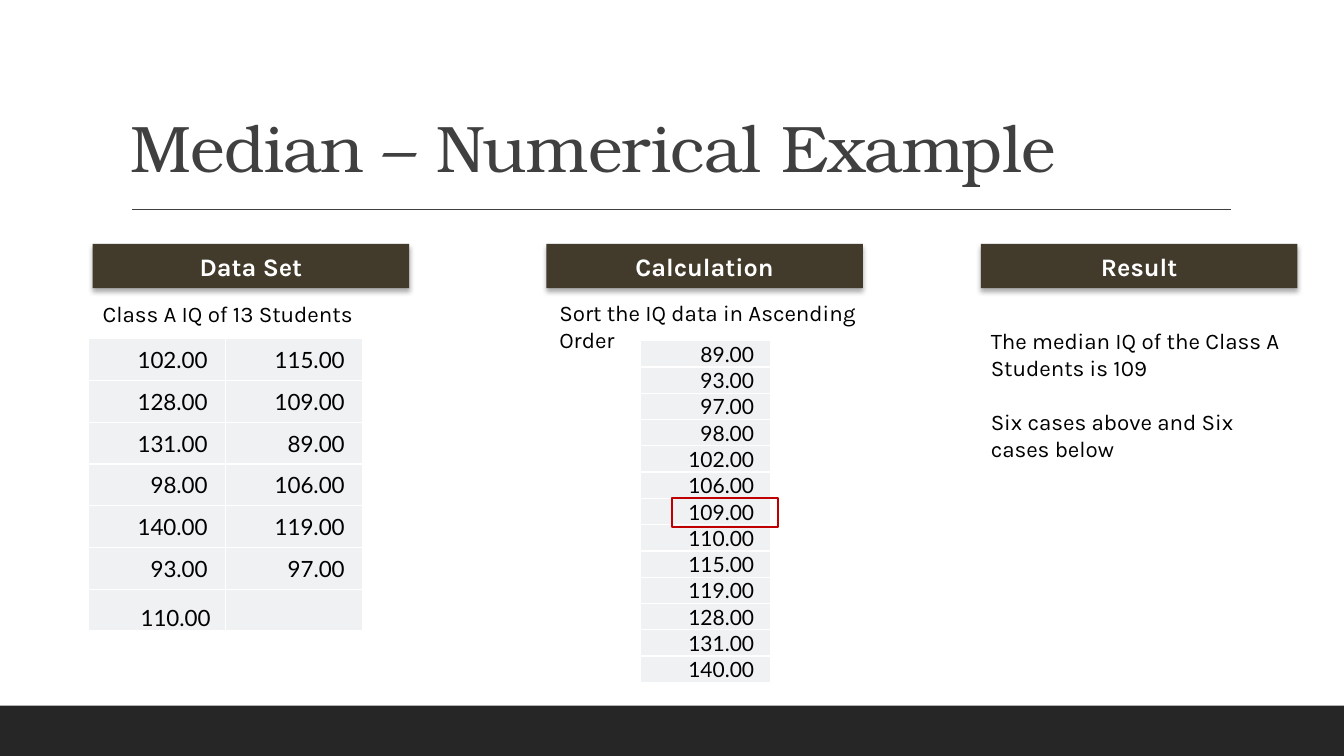
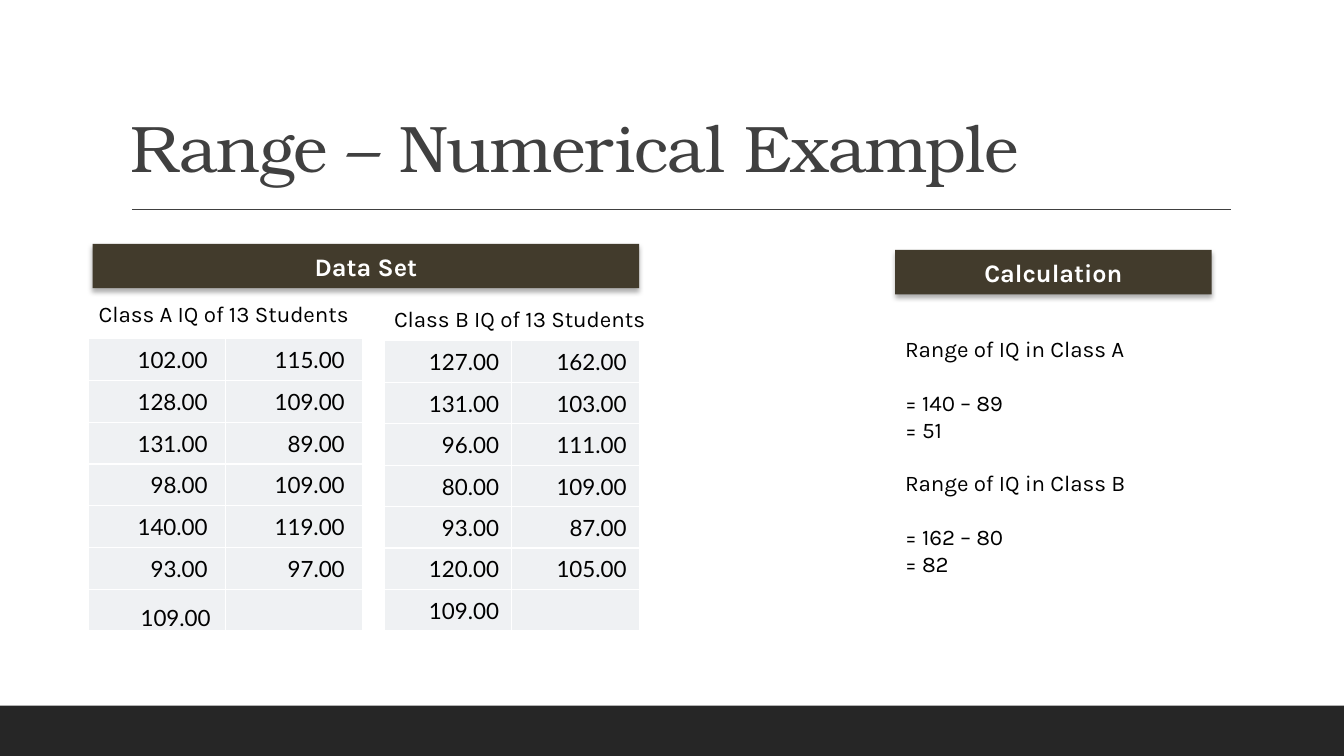
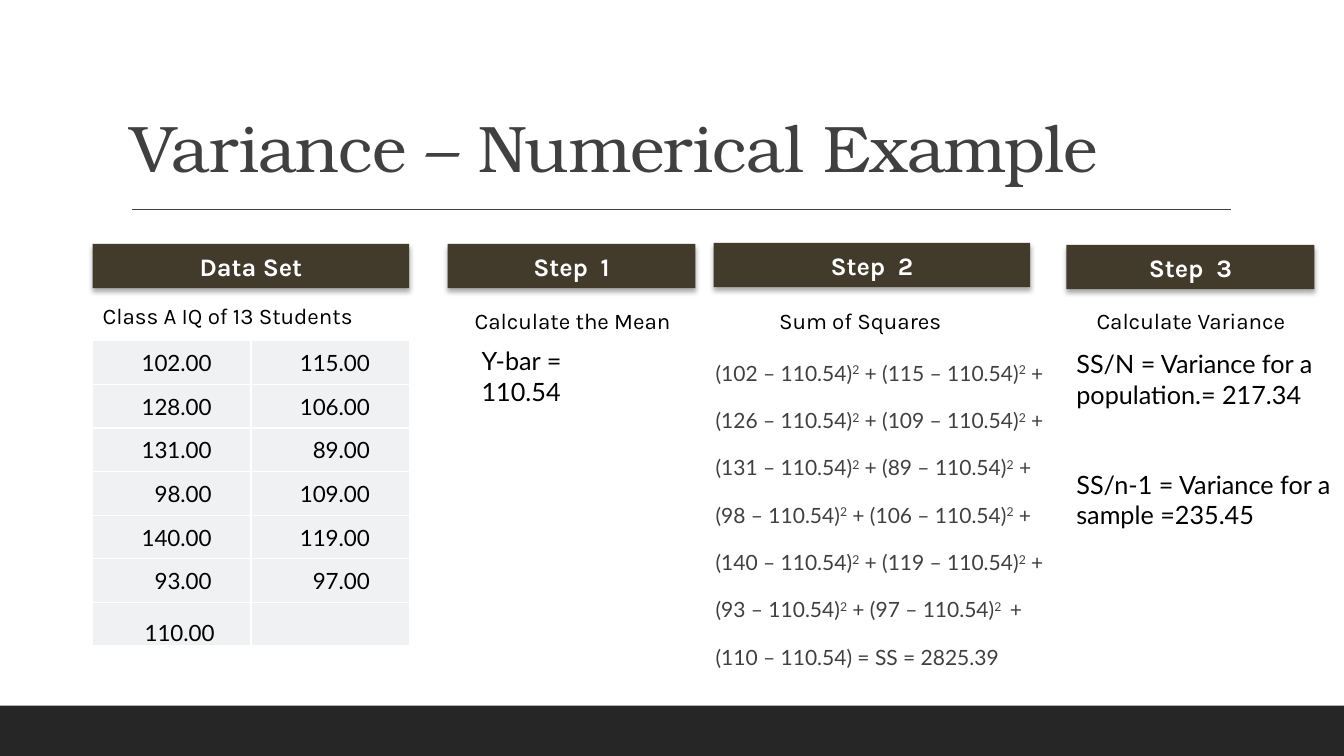
from lxml import etree
from pptx import Presentation
from pptx.dml.color import RGBColor
from pptx.enum.shapes import MSO_CONNECTOR, MSO_SHAPE
from pptx.enum.text import MSO_ANCHOR, PP_ALIGN
from pptx.oxml import parse_xml
from pptx.oxml.ns import nsdecls, qn
from pptx.util import Inches, Pt

TOP, MIDDLE, BOTTOM = MSO_ANCHOR.TOP, MSO_ANCHOR.MIDDLE, MSO_ANCHOR.BOTTOM
LEFT, CENTER, RIGHT = PP_ALIGN.LEFT, PP_ALIGN.CENTER, PP_ALIGN.RIGHT
RECTANGLE, STRAIGHT = MSO_SHAPE.RECTANGLE, MSO_CONNECTOR.STRAIGHT

THEME = {
    "colors": {
        "band": RGBColor.from_string("262626"),
        "soft": RGBColor.from_string("404040"),
        "header": RGBColor.from_string("423B2C"),
        "cell": RGBColor.from_string("EFF1F3"),
        "text": RGBColor.from_string("000000"),
        "light": RGBColor.from_string("FFFFFF"),
        "mark": RGBColor.from_string("C00000"),
    },
    "styles": {
        "title": {
            "color": "soft",
            "frame": {"vertical_anchor": BOTTOM},
            "paragraph": {"line_spacing": 0.9},
            "font": {"name": "TeX Gyre Bonum", "size": Pt(47)},
            "run": {"spc": "-50"},
        },
        "header": {
            "color": "light",
            "frame": {"vertical_anchor": MIDDLE},
            "paragraph": {"alignment": CENTER},
            "font": {"name": "Karla", "size": Pt(18), "bold": True},
        },
        "body": {"color": "text", "font": {"name": "Karla", "size": Pt(16)}},
        "result": {"color": "text", "font": {"name": "Lato", "size": Pt(18)}},
        "formula": {
            "color": "soft",
            "frame": {"margin_left": 0, "margin_right": 0},
            "paragraph": {"line_spacing": 1.1, "space_after": Pt(2)},
            "font": {"name": "Lato", "size": Pt(15)},
        },
        "number": {
            "color": "text",
            "paragraph": {"alignment": RIGHT},
            "font": {"name": "Lato", "size": Pt(16)},
        },
        "small number": {
            "color": "text",
            "paragraph": {"alignment": RIGHT},
            "font": {"name": "Lato", "size": Pt(15)},
        },
    },
}
COLORS = THEME["colors"]

deck = Presentation()
deck.slide_width, deck.slide_height = Inches(13.33), Inches(7.5)
COL, ROW = deck.slide_width / 100, deck.slide_height / 100

SHADOW = (
    f'<a:effectLst {nsdecls("a")}><a:outerShdw blurRad="44450" dist="27940" dir="5400000" '
    'algn="ctr" rotWithShape="0"><a:srgbClr val="000000"><a:alpha val="32000"/></a:srgbClr>'
    "</a:outerShdw></a:effectLst>"
)
BORDER = (
    '<a:{side} {ns} w="12700"><a:solidFill><a:srgbClr val="{color}"/></a:solidFill></a:{side}>'
)


def place(left, top, width, height):
    return [round(n) for n in (left * COL, top * ROW, width * COL, height * ROW)]


def write(frame, lines, style_name):
    style = THEME["styles"][style_name]
    frame.word_wrap = True
    for key, value in style.get("frame", {"vertical_anchor": TOP}).items():
        setattr(frame, key, value)
    for index, (gap, text) in enumerate(lines):
        paragraph = frame.add_paragraph() if index else frame.paragraphs[0]
        formats = {"alignment": LEFT, "space_before": Pt(gap), **style.get("paragraph", {})}
        for key, value in formats.items():
            setattr(paragraph, key, value)
        for part, words in enumerate(text.split("^")):
            run = paragraph.add_run()
            run.text = words
            for key, value in style["font"].items():
                setattr(run.font, key, value)
            run.font.color.rgb = COLORS[style["color"]]
            attributes = dict(style.get("run", {}))
            if part % 2:
                attributes["baseline"] = "30000"
            for key, value in attributes.items():
                run.font._element.set(key, value)


WIDE, NARROW, PAIR = 23.55, 18.45, 20.4
HEADER_TOP, HEADER_HEIGHT, LINE_HEIGHT = 32.27, 5.87, 4.93
CLASS_A, CLASS_B = "Class A IQ of 13 Students", "Class B IQ of 13 Students"

squares = [
    (102, 115, "2"),
    (126, 109, "2"),
    (131, 89, "2"),
    (98, 106, "2"),
    (140, 119, "2"),
    (93, 97, "2 "),
]
sum_of_squares = [
    (12, f"({first} – 110.54)^2^ + ({second} – 110.54)^{power}^ +")
    for first, second, power in squares
] + [(12, "(110 – 110.54) = SS = 2825.39")]

median_scores = [(102, 115), (128, 109), (131, 89), (98, 106), (140, 119), (93, 97), (110, None)]
range_scores = [(102, 115), (128, 109), (131, 89), (98, 109), (140, 119), (93, 97), (109, None)]
class_b_scores = [(127, 162), (131, 103), (96, 111), (80, 109), (93, 87), (120, 105), (109, None)]
variance_scores = [(102, 115), (128, 106), (131, 89), (98, 109), (140, 119), (93, 97), (110, None)]
sorted_scores = [(score,) for score in sorted(s for row in median_scores for s in row if s)]

slides = [
    {
        "title": "Median – Numerical Example",
        "headers": [
            ("Data Set", 6.9, HEADER_TOP, WIDE),
            ("Calculation", 40.65, HEADER_TOP, WIDE),
            ("Result", 72.98, HEADER_TOP, WIDE),
        ],
        "texts": [
            ("body", (72.98, 42.67, WIDE, 19.33),
             [(0, "The median IQ of the Class A Students is 109"),
              (19, "Six cases above and Six cases below")]),
            ("body", (40.88, 38.93, WIDE, 8.53), [(0, "Sort the IQ data in Ascending Order")]),
            ("body", (6.9, 39.07, WIDE, LINE_HEIGHT), [(0, CLASS_A)]),
        ],
        "tables": [
            (median_scores, "number", (6.6, 44.8, PAIR, 38.67), 8.85, True),
            (sorted_scores, "small number", (47.63, 45.07, 9.68, 45.2), 8.48, False),
        ],
        "marks": [(50.03, 65.87, 7.88, 3.87)],
    },
    {
        "title": "Range – Numerical Example",
        "headers": [
            ("Data Set", 6.9, HEADER_TOP, 40.65),
            ("Calculation", 66.6, 33.07, WIDE),
        ],
        "texts": [
            ("body", (66.6, 43.73, WIDE, 37.2),
             [(0, "Range of IQ in Class A"), (19, "= 140 – 89"), (0, "= 51"),
              (19, "Range of IQ in Class B"), (19, "= 162 – 80"), (0, "= 82")]),
            ("body", (6.6, 39.07, PAIR, LINE_HEIGHT), [(0, CLASS_A)]),
            ("body", (28.58, 39.73, PAIR, LINE_HEIGHT), [(0, CLASS_B)]),
        ],
        "tables": [
            (range_scores, "number", (6.6, 44.8, PAIR, 38.67), 8.85, True),
            (class_b_scores, "number", (28.58, 45.07, 18.98, 38.4), 8.55, False),
        ],
        "marks": [],
    },
    {
        "title": "Variance – Numerical Example",
        "headers": [
            ("Data Set", 6.9, HEADER_TOP, WIDE),
            ("Step  1", 33.3, HEADER_TOP, NARROW),
            ("Step  2", 53.1, 32.13, WIDE),
            ("Step  3", 79.35, 32.4, NARROW),
        ],
        "texts": [
            ("body", (6.9, 39.33, WIDE, LINE_HEIGHT), [(0, CLASS_A)]),
            ("body", (34.58, 40, WIDE, LINE_HEIGHT), [(0, "Calculate the Mean")]),
            ("body", (57.23, 40, 13.65, LINE_HEIGHT), [(0, "Sum of Squares")]),
            ("body", (80.85, 40, 16.2, LINE_HEIGHT), [(0, "Calculate Variance")]),
            ("result", (35.1, 45.07, 13.65, 5.33), [(0, "Y-bar = 110.54")]),
            ("formula", (53.25, 46.67, 26.1, 40), sum_of_squares),
            ("result", (79.35, 45.47, 20.63, 25.6),
             [(0, "SS/N = Variance for a population.= 217.34"),
              (43, "SS/n-1 = Variance for a sample =235.45")]),
        ],
        "tables": [(variance_scores, "number", (6.9, 45.07, WIDE, 40.4), 8.85, True)],
        "marks": [],
    },
]

for content in slides:
    slide = deck.slides.add_slide(deck.slide_layouts[6])
    shapes = slide.shapes

    band = shapes.add_shape(RECTANGLE, *place(0, 93.33, 100, 6.67))
    band.shadow.inherit = False
    band.fill.solid()
    band.fill.fore_color.rgb = COLORS["band"]
    band.line.fill.background()

    left, top, right, bottom = place(9.82, 27.73, 91.58, 27.73)
    title_rule = shapes.add_connector(STRAIGHT, left, top, right, bottom)
    title_rule.line.color.rgb = COLORS["soft"]
    title_rule.line.width = Pt(1)
    etree.SubElement(title_rule._element.spPr, qn("a:effectLst"))

    title = shapes.add_textbox(*place(9, 4.13, 82.5, 21.2))
    write(title.text_frame, [(0, content["title"])], "title")

    for label, left, top, width in content["headers"]:
        header = shapes.add_shape(RECTANGLE, *place(left, top, width, HEADER_HEIGHT))
        header.fill.solid()
        header.fill.fore_color.rgb = COLORS["header"]
        header.line.fill.background()
        header._element.spPr.append(parse_xml(SHADOW))
        write(header.text_frame, [(0, label)], "header")

    for style_name, area, lines in content["texts"]:
        write(shapes.add_textbox(*place(*area)).text_frame, lines, style_name)

    for scores, style_name, area, number_end, last_low in content["tables"]:
        left, top, width, height = place(*area)
        columns = len(scores[0])
        table = shapes.add_table(len(scores), columns, left, top, width, height).table
        table.first_row = table.horz_banding = False
        for column in table.columns:
            column.width = width // columns
        for row in table.rows:
            row.height = height // len(scores)
        for r, values in enumerate(scores):
            low = last_low and r == len(scores) - 1
            end = number_end + (0.22 if low else 0)
            for c, score in enumerate(values):
                cell = table.cell(r, c)
                formats = {
                    "margin_left": Inches(0.01),
                    "margin_right": round(width / columns - end * COL),
                    "margin_top": Inches(0.01),
                    "margin_bottom": 0,
                    "vertical_anchor": BOTTOM if low else MIDDLE,
                }
                for key, value in formats.items():
                    setattr(cell, key, value)
                cell.fill.solid()
                cell.fill.fore_color.rgb = COLORS["cell"]
                for order, side in enumerate(("lnL", "lnR", "lnT", "lnB")):
                    border = BORDER.format(side=side, ns=nsdecls("a"), color=COLORS["light"])
                    cell._tc.tcPr.insert(order, parse_xml(border))
                if score is not None:
                    write(cell.text_frame, [(0, f"{score:.2f}")], style_name)
                    cell.vertical_anchor = formats["vertical_anchor"]

    for area in content["marks"]:
        median_mark = shapes.add_shape(RECTANGLE, *place(*area))
        median_mark.shadow.inherit = False
        median_mark.fill.background()
        median_mark.line.color.rgb = COLORS["mark"]
        median_mark.line.width = Pt(1.25)

deck.save("out.pptx")
